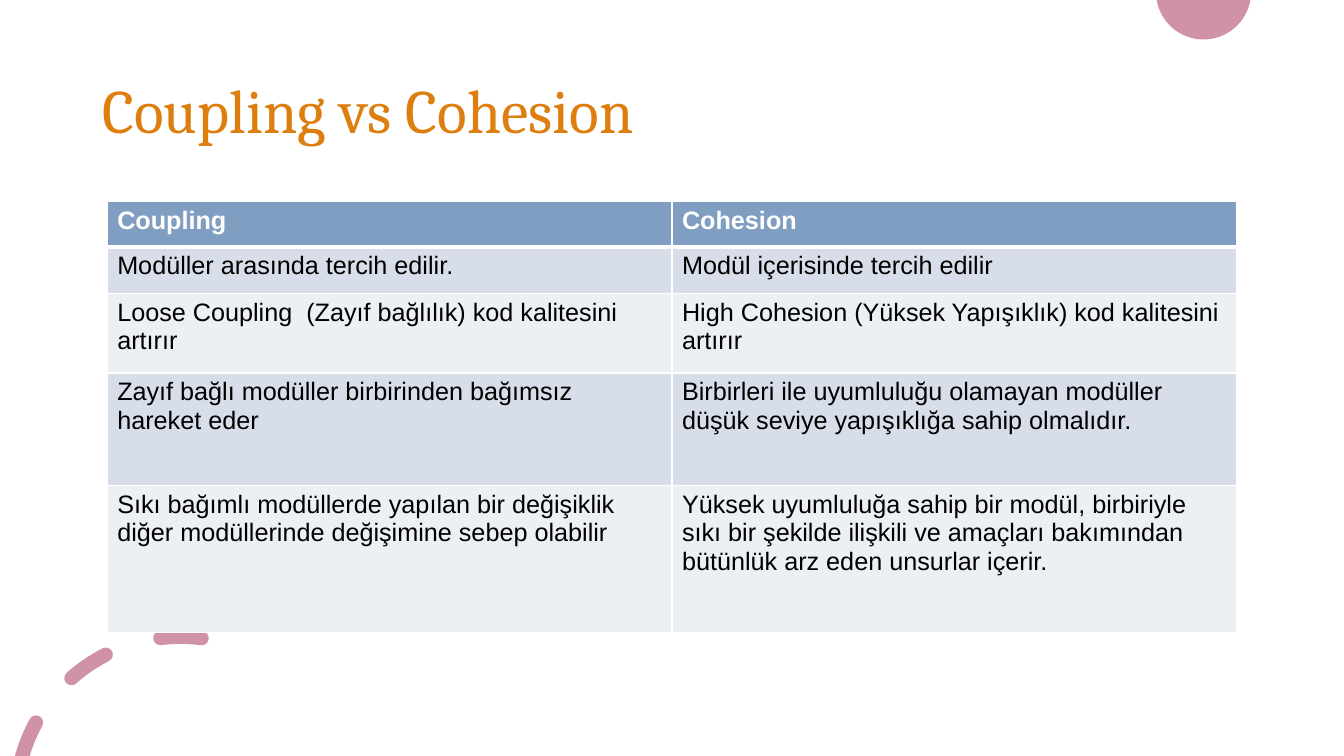
"""Build the slide comparing coupling with cohesion."""
from math import cos, radians, sin, tan

from lxml import etree
from pptx import Presentation
from pptx.dml.color import RGBColor
from pptx.enum.text import MSO_ANCHOR, MSO_AUTO_SIZE, PP_ALIGN
from pptx.oxml.ns import qn
from pptx.util import Pt

LEFT = PP_ALIGN.LEFT
MIDDLE = MSO_ANCHOR.MIDDLE
NO_AUTOFIT = MSO_AUTO_SIZE.NONE
TITLE_ONLY = 5
COLORS = {
    "title": "DD7E0E", "accent": "D092A7", "header": "809EC2",
    "odd": "D7DEE9", "even": "ECEFF4", "border": "FFFFFF",
    "header_text": "FFFFFF", "body_text": "000000",
}
TITLE_FONT = {"name": "Cambria", "size": Pt(44), "bold": False}
HEADER_FONT = {"name": "Arial", "size": Pt(18), "bold": True}
BODY_FONT = {**HEADER_FONT, "bold": False}
TITLE_FRAME = {"word_wrap": True, "auto_size": NO_AUTOFIT, "vertical_anchor": MIDDLE}
TITLE_PARAGRAPH = {"alignment": LEFT, "line_spacing": 0.9}
TITLE_BOX = {"left": Pt(66), "top": Pt(28.8), "width": Pt(828), "height": Pt(104.4)}
TITLE = "Coupling vs Cohesion"
COMPARISON = [
    ("Coupling", "Cohesion"),
    ("Modüller arasında tercih edilir.", "Modül içerisinde tercih edilir"),
    ("Loose Coupling  (Zayıf bağlılık) kod kalitesini artırır",
     "High Cohesion (Yüksek Yapışıklık) kod kalitesini artırır"),
    ("Zayıf bağlı modüller birbirinden bağımsız hareket eder",
     "Birbirleri ile uyumluluğu olamayan modüller düşük seviye yapışıklığa "
     "sahip olmalıdır."),
    ("Sıkı bağımlı modüllerde yapılan bir değişiklik diğer modüllerinde "
     "değişimine sebep olabilir",
     "Yüksek uyumluluğa sahip bir modül, birbiriyle sıkı bir şekilde ilişkili "
     "ve amaçları bakımından bütünlük arz eden unsurlar içerir."),
]
ROW_HEIGHTS = [32.5, 33, 57, 80.5, 105]
COLUMN_WIDTH = 403.4
RING_CENTER, RING_RADIUS, DASH_HALF_WIDTH = (128.9, 572.4), 117.5, 5.1
CUT_OUTER, CUT_INNER = -74.68, -73.24


def apply(target, values):
    """Set each named attribute on the target."""
    for name, value in values.items():
        setattr(target, name, value)


def color(key):
    """Return a palette colour."""
    return RGBColor.from_string(COLORS[key])


def arc(center, radius, start, end):
    """Return the four Bézier points of an arc, in degrees clockwise from the top."""
    start, end = radians(start), radians(end)
    reach = 4 / 3 * tan((end - start) / 4)
    offsets = [
        (sin(start), -cos(start)),
        (sin(start) + reach * cos(start), -cos(start) + reach * sin(start)),
        (sin(end) - reach * cos(end), -cos(end) - reach * sin(end)),
        (sin(end), -cos(end)),
    ]
    return [(center[0] + radius * x, center[1] + radius * y) for x, y in offsets]


def cap(angle, turn):
    """Return the two quarter arcs that round a dash end at the given angle."""
    center = arc(RING_CENTER, RING_RADIUS, angle, angle)[0]
    return [arc(center, DASH_HALF_WIDTH, turn + quarter, turn + quarter + 90)
            for quarter in (0, 90)]


def dash(start, end):
    """Return the arcs around a dash with two round ends."""
    return [
        arc(RING_CENTER, RING_RADIUS + DASH_HALF_WIDTH, start, end),
        *cap(end, end),
        arc(RING_CENTER, RING_RADIUS - DASH_HALF_WIDTH, end, start),
        *cap(start, start + 180),
    ]


def cut_dash(end):
    """Return the arcs around the dash that the slide's bottom edge cuts off."""
    return [
        arc(RING_CENTER, RING_RADIUS + DASH_HALF_WIDTH, CUT_OUTER, end),
        *cap(end, end),
        arc(RING_CENTER, RING_RADIUS - DASH_HALF_WIDTH, end, CUT_INNER),
    ]


def add_accent(slide, contours):
    """Draw one filled shape whose contours are chains of arcs."""
    chains = [[(Pt(x), Pt(y)) for x, y in [arcs[0][0]] + [p for a in arcs for p in a[1:]]]
              for arcs in contours]
    builder = slide.shapes.build_freeform(*chains[0][0])
    for index, chain in enumerate(chains):
        if index:
            builder.move_to(*chain[0])
        builder.add_line_segments(chain[1:], close=False)
        builder.add_line_segments([], close=True)
    accent = builder.convert_to_shape()
    lines = list(accent._element.iter(qn("a:lnTo")))
    for first in range(0, len(lines), 3):
        curve = etree.Element(qn("a:cubicBezTo"))
        lines[first].addprevious(curve)
        for line in lines[first:first + 3]:
            curve.append(line[0])
            line.getparent().remove(line)
    accent.fill.solid()
    accent.fill.fore_color.rgb = color("accent")
    accent.line.fill.background()
    accent.shadow.inherit = False


def set_title(slide):
    """Place and format the slide title."""
    title = slide.shapes.title
    apply(title, TITLE_BOX)
    title.text = TITLE
    apply(title.text_frame, TITLE_FRAME)
    paragraph = title.text_frame.paragraphs[0]
    apply(paragraph, TITLE_PARAGRAPH)
    apply(paragraph.runs[0].font, TITLE_FONT)
    paragraph.runs[0].font.color.rgb = color("title")


def set_borders(cell, top, bottom):
    """Give a cell white borders with the given top and bottom widths."""
    properties = cell._tc.get_or_add_tcPr()
    for side, width in {"L": 1, "R": 1, "T": top, "B": bottom}.items():
        border = etree.SubElement(properties, qn(f"a:ln{side}"), w=str(Pt(width)))
        fill = etree.SubElement(border, qn("a:solidFill"))
        etree.SubElement(fill, qn("a:srgbClr"), val=COLORS["border"])


def fill_cell(cell, text, row):
    """Write and format one cell of the comparison."""
    header = row == 0
    set_borders(cell, 3 if row == 1 else 1, 3 if header else 1)
    cell.fill.solid()
    cell.fill.fore_color.rgb = color("header" if header else "odd" if row % 2 else "even")
    cell.text = text
    font = cell.text_frame.paragraphs[0].runs[0].font
    apply(font, HEADER_FONT if header else BODY_FONT)
    font.color.rgb = color("header_text" if header else "body_text")


def add_comparison(slide):
    """Add the two-column comparison table."""
    table = slide.shapes.add_table(
        len(COMPARISON), 2, Pt(76.6), Pt(144), Pt(2 * COLUMN_WIDTH), Pt(sum(ROW_HEIGHTS))
    ).table
    for column in table.columns:
        column.width = Pt(COLUMN_WIDTH)
    for row, (texts, height) in enumerate(zip(COMPARISON, ROW_HEIGHTS)):
        table.rows[row].height = Pt(height)
        for column, text in enumerate(texts):
            fill_cell(table.cell(row, column), text, row)


def main():
    """Build and save the slide."""
    presentation = Presentation()
    presentation.slide_width = Pt(960)
    presentation.slide_height = Pt(540)
    slide = presentation.slides.add_slide(presentation.slide_layouts[TITLE_ONLY])
    corner_disc = [arc((859.7, -5.8), 34, 100, 180), arc((859.7, -5.8), 34, 180, 260)]
    add_accent(slide, [corner_disc])
    add_accent(slide, [cut_dash(-61.4), dash(-41.5, -27), dash(-7, 7.4)])
    set_title(slide)
    add_comparison(slide)
    presentation.save("out.pptx")


if __name__ == "__main__":
    main()
